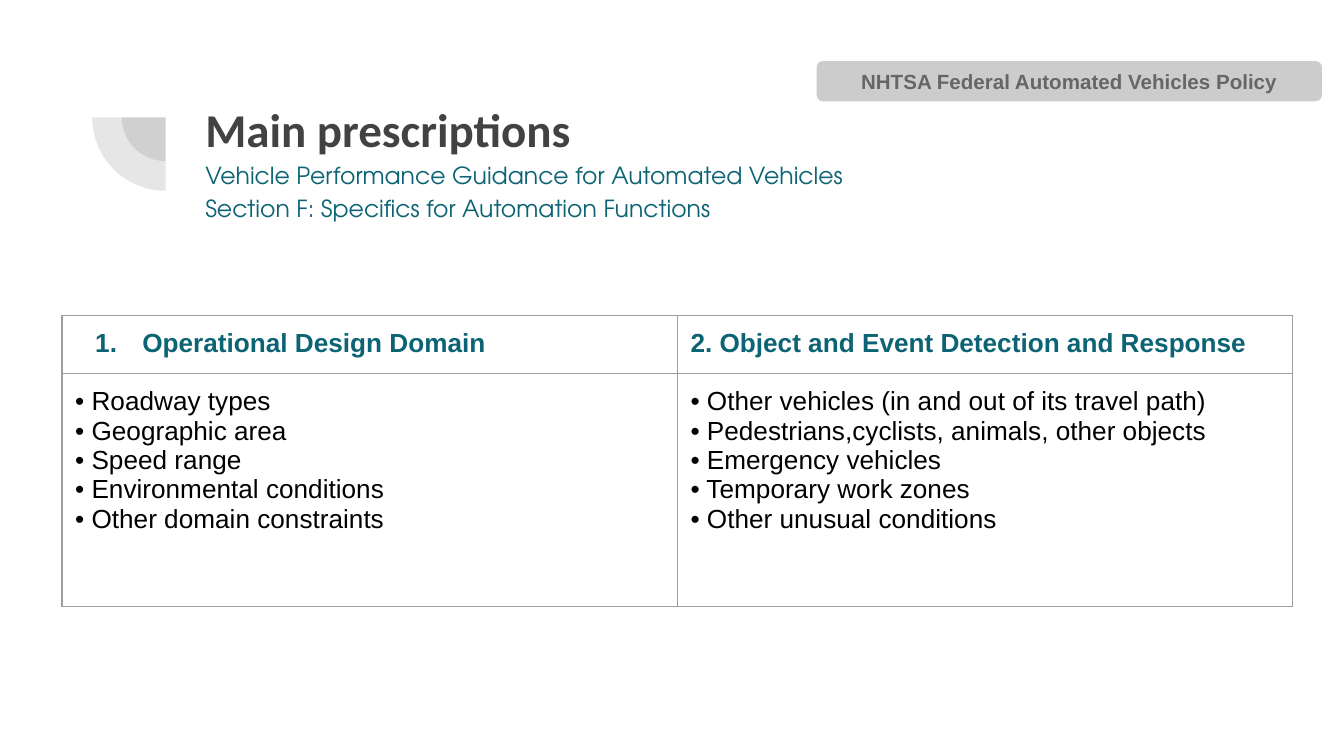
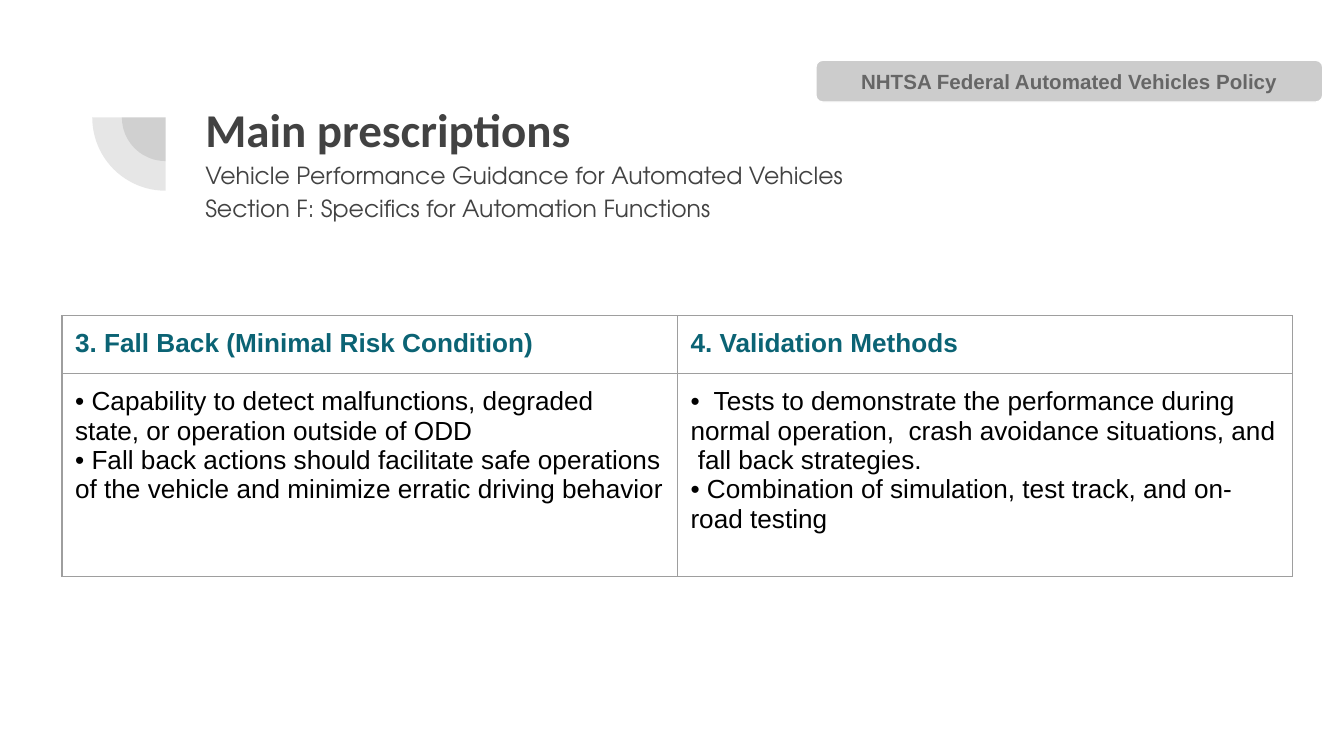
from dataclasses import dataclass

from lxml.etree import SubElement
from pptx import Presentation
from pptx.dml.color import RGBColor
from pptx.enum.shapes import MSO_SHAPE
from pptx.enum.text import MSO_ANCHOR, PP_ALIGN
from pptx.oxml.ns import qn
from pptx.util import Cm, Pt

COLORS = {
    "dark": "424242",
    "teal": "0B6374",
    "badge": "CCCCCC",
    "badge_text": "666666",
    "white": "FFFFFF",
    "black": "000000",
    "border": "9E9E9E",
}
INSET = Cm(0.25)
PIE_CENTER = (3.13, 2.22)
PIE_DIAMETERS = (1.65, 2.77)
COLUMN_WIDTH = 11.63
HEADER_HEIGHT = 1.07


@dataclass
class Topic:
    heading: str
    lines: list[str]
    auto_numbered: bool = False


@dataclass
class PrescriptionSlide:
    subtitle_color: str
    body_height: float
    topics: list[Topic]


SLIDES = [
    PrescriptionSlide("teal", 4.4, [
        Topic("Operational Design Domain", [
            "• Roadway types",
            "• Geographic area",
            "• Speed range",
            "• Environmental conditions",
            "• Other domain constraints",
        ], auto_numbered=True),
        Topic("2. Object and Event Detection and Response", [
            "• Other vehicles (in and out of its travel path)",
            "• Pedestrians,cyclists, animals, other objects",
            "• Emergency vehicles",
            "• Temporary work zones",
            "• Other unusual conditions",
        ]),
    ]),
    PrescriptionSlide("dark", 3.83, [
        Topic("3. Fall Back (Minimal Risk Condition)", [
            "• Capability to detect malfunctions, degraded state, or operation outside of ODD",
            "• Fall back actions should facilitate safe operations of the vehicle "
            "and minimize erratic driving behavior",
        ]),
        Topic("4. Validation Methods", [
            "•  Tests to demonstrate the performance during normal operation,  "
            "crash avoidance situations, and",
            " fall back strategies.",
            "• Combination of simulation, test track, and on-road testing",
        ]),
    ]),
]


def rgb(name: str) -> RGBColor:
    return RGBColor.from_string(COLORS[name])


def set_font(p, name: str, size: float, color: str, bold: bool = False) -> None:
    font = p.font
    font.name, font.size, font.bold = name, Pt(size), bold
    font.color.rgb = rgb(color)


def set_insets(frame) -> None:
    frame.margin_left = frame.margin_right = INSET
    frame.margin_top = frame.margin_bottom = INSET


# Translucent quarter circles sharing one centre
def add_pies(s) -> None:
    x, y = PIE_CENTER
    for d in PIE_DIAMETERS:
        sp = s.shapes.add_shape(MSO_SHAPE.PIE, Cm(x - d / 2), Cm(y - d / 2), Cm(d), Cm(d))
        sp.adjustments[0], sp.adjustments[1] = 107.928, 162
        sp.rotation = 270
        sp.shadow.inherit = False
        sp.fill.solid()
        sp.fill.fore_color.rgb = rgb("dark")
        sp.line.fill.background()
        color = sp.fill._xPr.find(qn("a:solidFill"))[0]
        SubElement(color, qn("a:alpha"), val="13000")


def add_title(s, subtitle_color: str) -> None:
    tf = s.shapes.add_textbox(Cm(3.63), Cm(1.65), Cm(19.53), Cm(2.77)).text_frame
    tf.word_wrap = True
    set_insets(tf)
    p = tf.paragraphs[0]
    p.text = "Main prescriptions"
    set_font(p, "Calibri", 25.2, "dark", bold=True)
    p = tf.add_paragraph()
    p.text = ("Vehicle Performance Guidance for Automated Vehicles\v"
              "Section F: Specifics for Automation Functions")
    p.line_spacing = 1.15
    set_font(p, "TeX Gyre Adventor", 12.6, subtitle_color)


def add_badge(s) -> None:
    sp = s.shapes.add_shape(MSO_SHAPE.ROUNDED_RECTANGLE, Cm(15.42), Cm(1.14), Cm(9.58), Cm(0.79))
    sp.shadow.inherit = False
    sp.fill.solid()
    sp.fill.fore_color.rgb = rgb("badge")
    sp.line.color.rgb = rgb("white")
    sp.line.width = Pt(0.75)
    tf = sp.text_frame
    tf.word_wrap = True
    tf.vertical_anchor = MSO_ANCHOR.MIDDLE
    set_insets(tf)
    p = tf.paragraphs[0]
    p.text = "NHTSA Federal Automated Vehicles Policy"
    p.alignment = PP_ALIGN.CENTER
    set_font(p, "Arial", 11, "badge_text", bold=True)


def add_borders(cell) -> None:
    tc_pr = cell._tc.get_or_add_tcPr()
    for i, side in enumerate(("lnL", "lnR", "lnT", "lnB")):
        ln = tc_pr.makeelement(qn(f"a:{side}"), {"w": str(Pt(0.75))})
        fill = SubElement(ln, qn("a:solidFill"))
        SubElement(fill, qn("a:srgbClr"), val=COLORS["border"])
        tc_pr.insert(i, ln)


def number_paragraph(p) -> None:
    p_pr = p._p.get_or_add_pPr()
    p_pr.set("marL", str(Cm(1.27)))
    p_pr.set("indent", str(Cm(-0.89)))
    number = p_pr.makeelement(qn("a:buAutoNum"), {"type": "arabicPeriod"})
    p_pr.insert(0, number)
    bullet_color = p_pr.makeelement(qn("a:buClr"), {})
    SubElement(bullet_color, qn("a:srgbClr"), val=COLORS["teal"])
    p_pr.insert(0, bullet_color)


def fill_cell(cell, lines: list[str], color: str, bold: bool) -> None:
    cell.fill.background()
    add_borders(cell)
    set_insets(cell)
    tf = cell.text_frame
    tf.text = "\n".join(lines)
    for p in tf.paragraphs:
        set_font(p, "Arial", 14, color, bold)


def add_topics(s, topics: list[Topic], body_height: float) -> None:
    table = s.shapes.add_table(2, len(topics), Cm(1.17), Cm(5.97),
                               Cm(COLUMN_WIDTH * len(topics)),
                               Cm(HEADER_HEIGHT + body_height)).table
    table.first_row = table.horz_banding = False
    table.rows[0].height, table.rows[1].height = Cm(HEADER_HEIGHT), Cm(body_height)
    for i, topic in enumerate(topics):
        table.columns[i].width = Cm(COLUMN_WIDTH)
        heading = table.cell(0, i)
        fill_cell(heading, [topic.heading], "teal", bold=True)
        if topic.auto_numbered:
            number_paragraph(heading.text_frame.paragraphs[0])
        fill_cell(table.cell(1, i), topic.lines, "black", bold=False)


def main() -> None:
    prs = Presentation()
    prs.slide_width, prs.slide_height = Cm(25.4), Cm(14.29)
    for content in SLIDES:
        s = prs.slides.add_slide(prs.slide_layouts[6])
        add_pies(s)
        add_title(s, content.subtitle_color)
        add_badge(s)
        add_topics(s, content.topics, content.body_height)
    prs.save("out.pptx")


if __name__ == "__main__":
    main()
